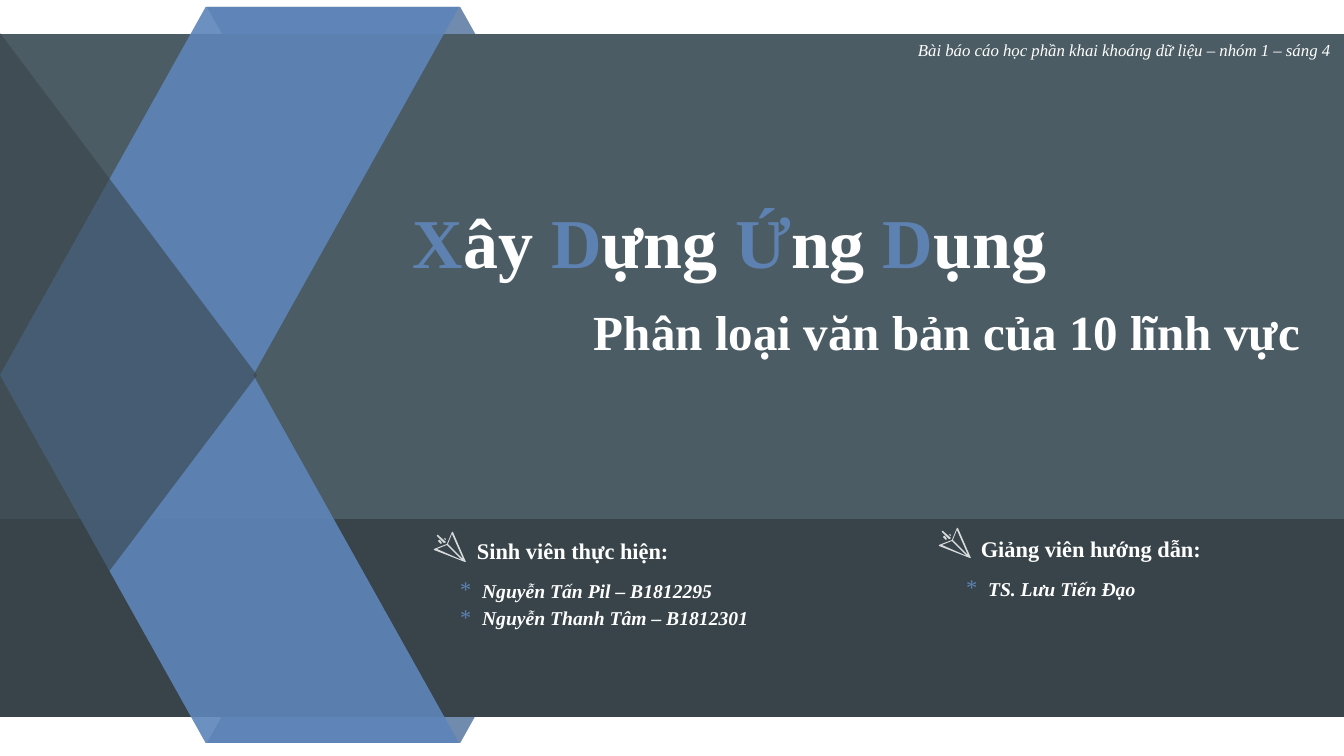
"""Build the title slide of a student report on text classification."""
import dataclasses
import typing

import lxml.etree
import pptx
import pptx.dml.color
import pptx.enum.shapes
import pptx.enum.text
import pptx.oxml.ns
import pptx.shapes.autoshape
import pptx.slide
import pptx.text.text
import pptx.util

SCALE = 914400 / 100.8
GEOMETRY = pptx.enum.shapes.MSO_SHAPE


@dataclasses.dataclass(frozen=True)
class Theme:
    font: str = "Times New Roman"
    white: str = "FFFFFF"
    accent: str = "5D81B1"
    ribbon: str = "5E85B9"
    ribbon_back: str = "4E6E9A"
    slate: str = "4C5C64"
    dark: str = "38444A"
    title_size: int = 50
    subtitle_size: int = 35
    heading_size: int = 16
    list_size: int = 14
    note_size: int = 12
    list_pitch: float = 19.4


THEME = Theme()


class Box(typing.NamedTuple):
    left: int
    top: int
    width: int
    height: int


class Panel(typing.NamedTuple):
    geometry: pptx.enum.shapes.MSO_SHAPE
    box: Box
    color: str
    opacity: int = 100
    adjustment: float | None = None
    flipped: bool = False
    rotation: int = 0


class Label(typing.NamedTuple):
    text: str
    box: Box
    size: int
    bold: bool = True
    italic: bool = False


class Group(typing.NamedTuple):
    heading: Label
    icon_left: int
    icon_top: int
    list_box: Box
    names: tuple[str, ...]


def ribbon(left: int, top: int, color: str, opacity: int, flipped: bool) -> Panel:
    """Describe one slanted half of the folded ribbon."""
    return Panel(GEOMETRY.PARALLELOGRAM, Box(left, top, 459, 368), color, opacity, 0.559, flipped)


PANELS = (
    ribbon(207, 375, THEME.ribbon_back, 80, False),
    ribbon(207, 7, THEME.ribbon_back, 80, True),
    Panel(GEOMETRY.RECTANGLE, Box(0, 34, 1344, 485), THEME.slate),
    Panel(GEOMETRY.RECTANGLE, Box(0, 519, 1344, 198), THEME.dark),
    ribbon(0, 7, THEME.ribbon, 91, False),
    ribbon(0, 375, THEME.ribbon, 91, True),
    Panel(GEOMETRY.ISOSCELES_TRIANGLE, Box(-213, 246, 683, 257), THEME.dark, 60, 0.501, rotation=90),
)

TITLE_BOX = Box(400, 187, 926, 118)
TITLE_WORDS = ("Xây", "Dựng", "Ứng", "Dụng")

LABELS = (
    Label("Phân loại văn bản của 10 lĩnh vực", Box(584, 297, 745, 70), THEME.subtitle_size),
    Label("Bài báo cáo học phần khai khoáng dữ liệu – nhóm 1 – sáng 4",
          Box(908, 35, 436, 30), THEME.note_size, bold=False, italic=True),
)

GROUPS = (
    Group(Label("Sinh viên thực hiện:", Box(467, 532, 336, 37), THEME.heading_size), 434, 532,
          Box(450, 570, 370, 65), ("Nguyễn Tấn Pil – B1812295", "Nguyễn Thanh Tâm – B1812301")),
    Group(Label("Giảng viên hướng dẫn:", Box(971, 530, 336, 37), THEME.heading_size), 939, 528,
          Box(956, 568, 370, 37), ("TS. Lưu Tiến Đạo",)),
)

PLANE_CONTOURS = (
    ((32, 30), (19, 0), (18, 0), (13, 12), (0, 17), (0, 18), (31, 30)),
    ((18, 2), (29, 27), (14, 12)),
    ((3, 17), (13, 13), (28, 28)),
    ((10, 7), (12, 8), (12, 7), (11, 6)),
    ((3, 4), (10, 11), (11, 11), (12, 10), (4, 3), (3, 3)),
    ((8, 11), (6, 8), (5, 8), (4, 9), (7, 12)),
)


def emu(pixels: float) -> pptx.util.Emu:
    """Turn pixels into EMU."""
    return pptx.util.Emu(round(pixels * SCALE))


def rgb(color: str) -> pptx.dml.color.RGBColor:
    """Turn a hex string into a colour."""
    return pptx.dml.color.RGBColor.from_string(color)


def add_tag(parent: lxml.etree._Element, tag: str, **attributes: str) -> lxml.etree._Element:
    """Append a DrawingML element."""
    return lxml.etree.SubElement(parent, pptx.oxml.ns.qn(tag), attributes)


def paint(shape: pptx.shapes.autoshape.Shape, color: str, opacity: int) -> None:
    """Give a shape a flat fill with no line or shadow."""
    shape.shadow.inherit = False
    shape.line.fill.background()
    shape.fill.solid()
    shape.fill.fore_color.rgb = rgb(color)
    if opacity < 100:
        fill_color = shape.element.spPr.find(".//" + pptx.oxml.ns.qn("a:srgbClr"))
        add_tag(fill_color, "a:alpha", val=str(opacity * 1000))


def draw_panel(page: pptx.slide.Slide, panel: Panel) -> None:
    """Draw one background panel."""
    shape = page.shapes.add_shape(panel.geometry, *map(emu, panel.box))
    if panel.adjustment is not None:
        shape.adjustments[0] = panel.adjustment
    if panel.flipped:
        shape.element.spPr.xfrm.set("flipH", "1")
    shape.rotation = panel.rotation
    paint(shape, panel.color, panel.opacity)


def draw_plane(page: pptx.slide.Slide, left: int, top: int) -> None:
    """Draw the paper plane icon."""
    first, *others = PLANE_CONTOURS
    builder = page.shapes.build_freeform(*first[0], scale=SCALE)
    builder.add_line_segments(first[1:])
    for contour in others:
        builder.move_to(*contour[0])
        builder.add_line_segments(contour[1:])
    paint(builder.convert_to_shape(emu(left), emu(top)), THEME.white, 80)


def style(para: pptx.text.text._Paragraph, size: int, bold: bool, italic: bool) -> None:
    """Set the font of a paragraph."""
    font = para.font
    font.name, font.size, font.bold, font.italic = THEME.font, pptx.util.Pt(size), bold, italic
    font.color.rgb = rgb(THEME.white)
    para.alignment = pptx.enum.text.PP_ALIGN.LEFT


def draw_label(page: pptx.slide.Slide, label: Label) -> None:
    """Draw one line of free text."""
    frame = page.shapes.add_textbox(*map(emu, label.box)).text_frame
    frame.word_wrap = True
    frame.text = label.text
    style(frame.paragraphs[0], label.size, label.bold, label.italic)


def place(holder: pptx.shapes.autoshape.Shape, box: Box) -> pptx.text.text.TextFrame:
    """Move a placeholder to its box, in front of everything drawn so far."""
    holder.left, holder.top, holder.width, holder.height = map(emu, box)
    holder.element.getparent().append(holder.element)
    holder.text_frame.auto_size = pptx.enum.text.MSO_AUTO_SIZE.NONE
    return holder.text_frame


def fill_title(holder: pptx.shapes.autoshape.Shape) -> None:
    """Write the title with accented initials."""
    frame = place(holder, TITLE_BOX)
    frame.margin_left = frame.margin_right = frame.margin_top = frame.margin_bottom = emu(13)
    frame.vertical_anchor = pptx.enum.text.MSO_ANCHOR.MIDDLE
    para = frame.paragraphs[0]
    style(para, THEME.title_size, True, False)
    para.line_spacing = 0.9
    for index, word in enumerate(TITLE_WORDS):
        ending = " " if index < len(TITLE_WORDS) - 1 else ""
        for text, color in ((word[0], THEME.accent), (word[1:] + ending, THEME.white)):
            span = para.add_run()
            span.text = text
            span.font.color.rgb = rgb(color)


def fill_list(holder: pptx.shapes.autoshape.Shape, group: Group) -> None:
    """Write the names of a group as a starred list."""
    frame = place(holder, group.list_box)
    frame.vertical_anchor = pptx.enum.text.MSO_ANCHOR.TOP
    frame.text = "\n".join(group.names)
    for para in frame.paragraphs:
        properties = para._p.get_or_add_pPr()
        properties.set("marL", str(emu(22)))
        properties.set("indent", str(emu(-22)))
        add_tag(add_tag(properties, "a:buClr"), "a:srgbClr", val=THEME.accent)
        add_tag(properties, "a:buSzPct", val="114000")
        add_tag(properties, "a:buFont", typeface=THEME.font)
        add_tag(properties, "a:buChar", char="*")
        para.space_before = pptx.util.Pt(0)
        para.line_spacing = pptx.util.Pt(THEME.list_pitch)
        style(para, THEME.list_size, True, True)


def main() -> None:
    """Build and save the deck."""
    deck = pptx.Presentation()
    deck.slide_width, deck.slide_height = emu(1344), emu(756)
    page = deck.slides.add_slide(deck.slide_layouts.get_by_name("Two Content"))
    title, *bodies = page.placeholders
    for panel in PANELS:
        draw_panel(page, panel)
    fill_title(title)
    for label in LABELS:
        draw_label(page, label)
    for group, body in zip(GROUPS, bodies):
        draw_plane(page, group.icon_left, group.icon_top)
        draw_label(page, group.heading)
        fill_list(body, group)
    deck.save("out.pptx")


main()
